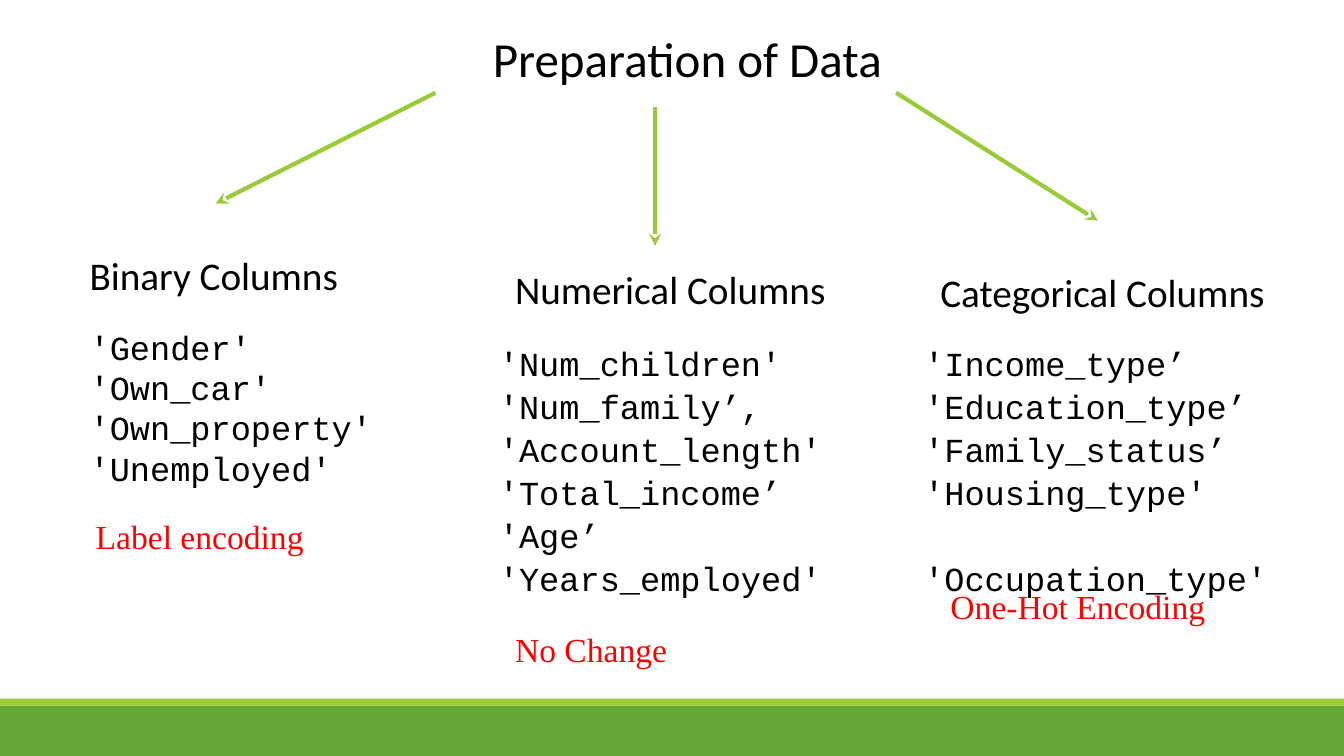
from lxml.etree import SubElement
from pptx import Presentation
from pptx.dml.color import RGBColor
from pptx.enum.shapes import MSO_CONNECTOR as Connector, MSO_SHAPE as Preset
from pptx.oxml.ns import qn
from pptx.util import Inches, Pt

WIDTH, HEIGHT = 13.33, 7.5
LIME, GREEN, BLACK, RED = "99CB38", "63A537", "000000", "FF0000"
FIRST_COLUMN, COLUMN_STEP = 5.93, 31.65
HEADING_HEIGHT, NOTE_HEIGHT = 7.6, 6.67

TITLE = "Preparation of Data"
BANDS = [(93.33, 6.67, GREEN), (92.4, 0.93, LIME)]
ARROWS = [
    ((32.4, 12.27), (16.05, 26.93)),
    ((66.68, 12.27), (81.68, 29.2)),
    ((48.75, 14.13), (48.75, 32.53)),
]
COLUMNS = [
    {
        "heading": "Binary Columns", "heading_top": 32.53, "heading_width": 20.18,
        "fields": ["'Gender'", "'Own_car'", "'Own_property'", "'Unemployed'"],
        "fields_box": (0, 42.53, 22.95, 22.93), "spacing": 1.0, "gaps": {},
        "note": "Label encoding", "note_box": (0.45, 67.6, 18.15),
    },
    {
        "heading": "Numerical Columns", "heading_top": 34.4, "heading_width": 24.83,
        "fields": ["'Num_children'", "'Num_family’,", "'Account_length'",
                   "'Total_income’", "'Age’", "'Years_employed'"],
        "fields_box": (-1.2, 44.27, 26.03, 35.87), "spacing": 1.07, "gaps": {},
        "note": "No Change", "note_box": (0, 82.53, 18.15),
    },
    {
        "heading": "Categorical Columns", "heading_top": 34.8, "heading_width": 25.88,
        "fields": ["'Income_type’", "'Education_type’", "'Family_status’",
                   "'Housing_type'", "'Occupation_type'"],
        "fields_box": (-1.2, 44.27, 27.38, 30), "spacing": 1.07, "gaps": {4: 30.7},
        "note": "One-Hot Encoding", "note_box": (0.75, 76.8, 22.28),
    },
]


def across(share):
    return Inches(WIDTH * share / 100)


def down(share):
    return Inches(HEIGHT * share / 100)


def color(value):
    return RGBColor.from_string(value)


def add_text(page, lines, left, top, width, height, *, font, size,
             fill=BLACK, wrap=True, spacing=None, gaps=None):
    box = page.shapes.add_textbox(across(left), down(top), across(width), down(height))
    frame = box.text_frame
    frame.word_wrap = wrap
    for index, line in enumerate(lines):
        para = frame.add_paragraph() if index else frame.paragraphs[0]
        if spacing:
            para.line_spacing = spacing
        if gaps and index in gaps:
            para.space_before = Pt(gaps[index])
        span = para.add_run()
        span.text = line
        span.font.name = font
        span.font.size = Pt(size)
        span.font.color.rgb = color(fill)


def add_band(page, top, height, fill):
    band = page.shapes.add_shape(Preset.RECTANGLE, 0, down(top), across(100), down(height))
    band.shadow.inherit = False
    band.fill.solid()
    band.fill.fore_color.rgb = color(fill)
    band.line.fill.background()


def add_arrow(page, start, end):
    arrow = page.shapes.add_connector(
        Connector.STRAIGHT, across(start[0]), down(start[1]), across(end[0]), down(end[1]))
    arrow.line.color.rgb = color(LIME)
    arrow.line.width = Pt(3)
    SubElement(arrow.line._get_or_add_ln(), qn("a:tailEnd"), type="stealth")
    SubElement(arrow._element.spPr, qn("a:effectLst"))


def add_column(page, left, column):
    add_text(page, [column["heading"]], left, column["heading_top"],
             column["heading_width"], HEADING_HEIGHT, font="Calibri", size=28, wrap=False)
    shift, top, width, height = column["fields_box"]
    add_text(page, column["fields"], left + shift, top, width, height,
             font="Courier New", size=24, spacing=column["spacing"], gaps=column["gaps"])
    shift, top, width = column["note_box"]
    add_text(page, [column["note"]], left + shift, top, width, NOTE_HEIGHT,
             font="Times New Roman", size=24, fill=RED)


def main():
    deck = Presentation()
    deck.slide_width, deck.slide_height = across(100), down(100)
    page = deck.slides.add_slide(deck.slide_layouts[6])
    for band in BANDS:
        add_band(page, *band)
    add_text(page, [TITLE], 35.93, 3.07, 30.75, 9.2, font="Calibri", size=35, wrap=False)
    for start, end in ARROWS:
        add_arrow(page, start, end)
    for index, column in enumerate(COLUMNS):
        add_column(page, FIRST_COLUMN + index * COLUMN_STEP, column)
    deck.save("out.pptx")


if __name__ == "__main__":
    main()
